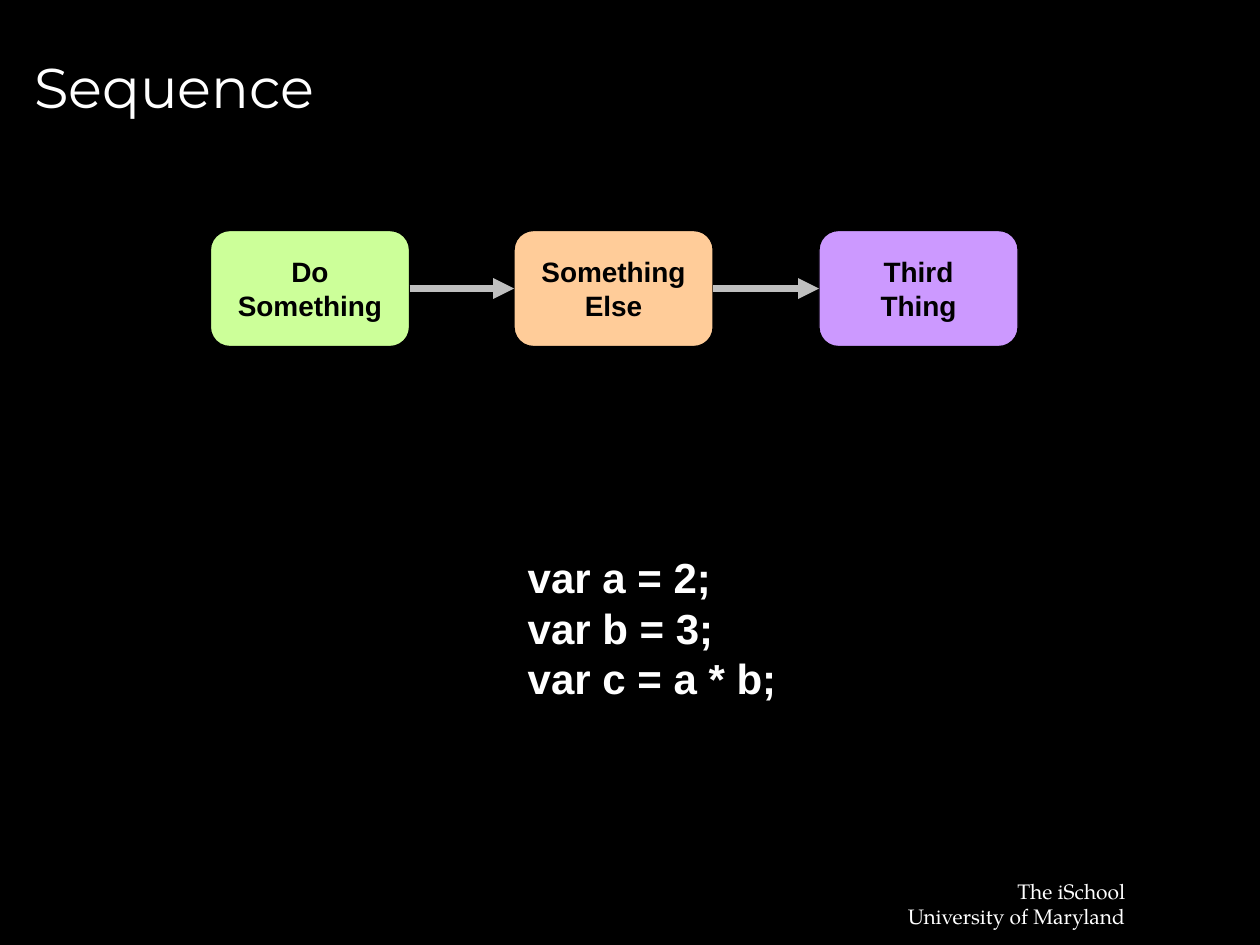
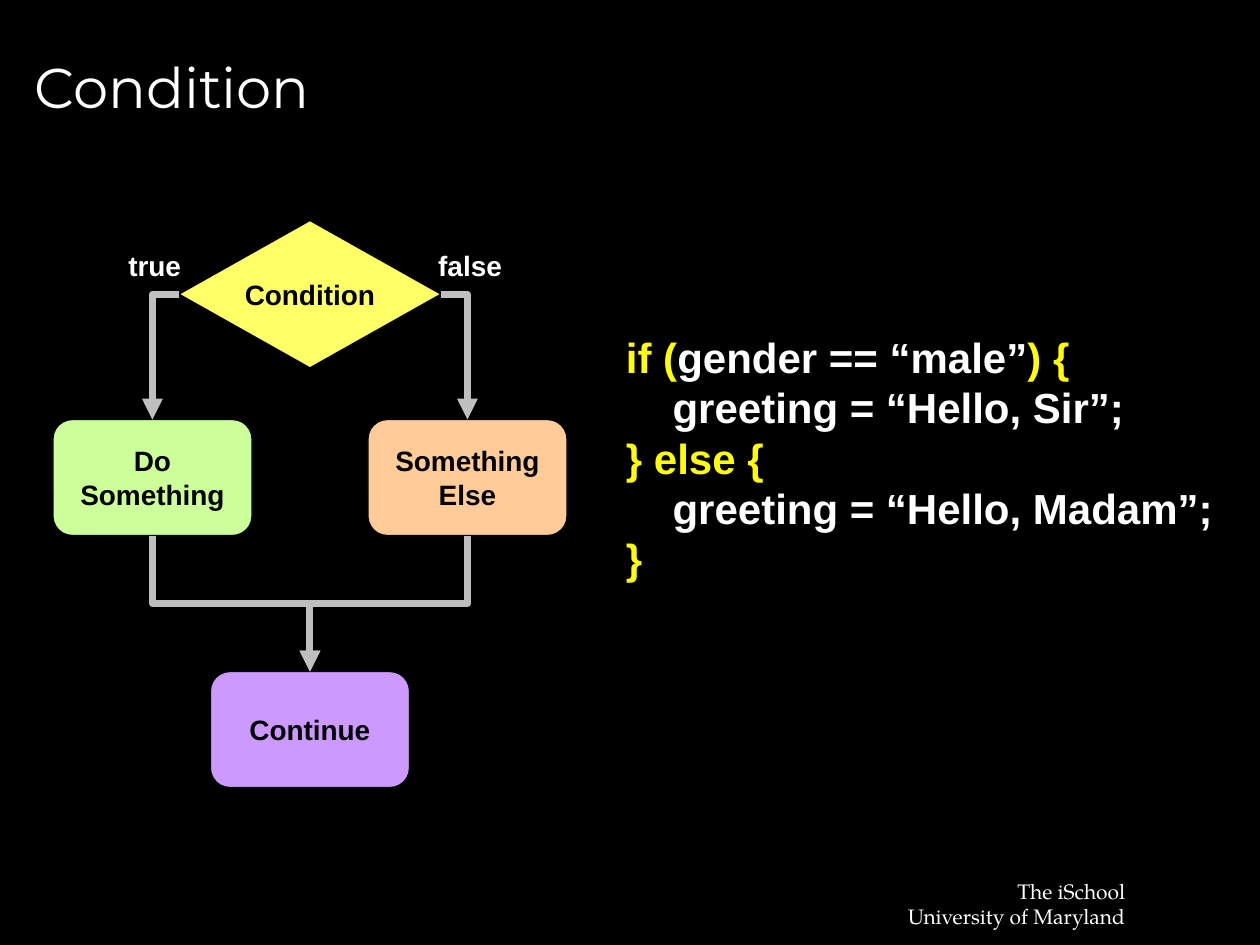
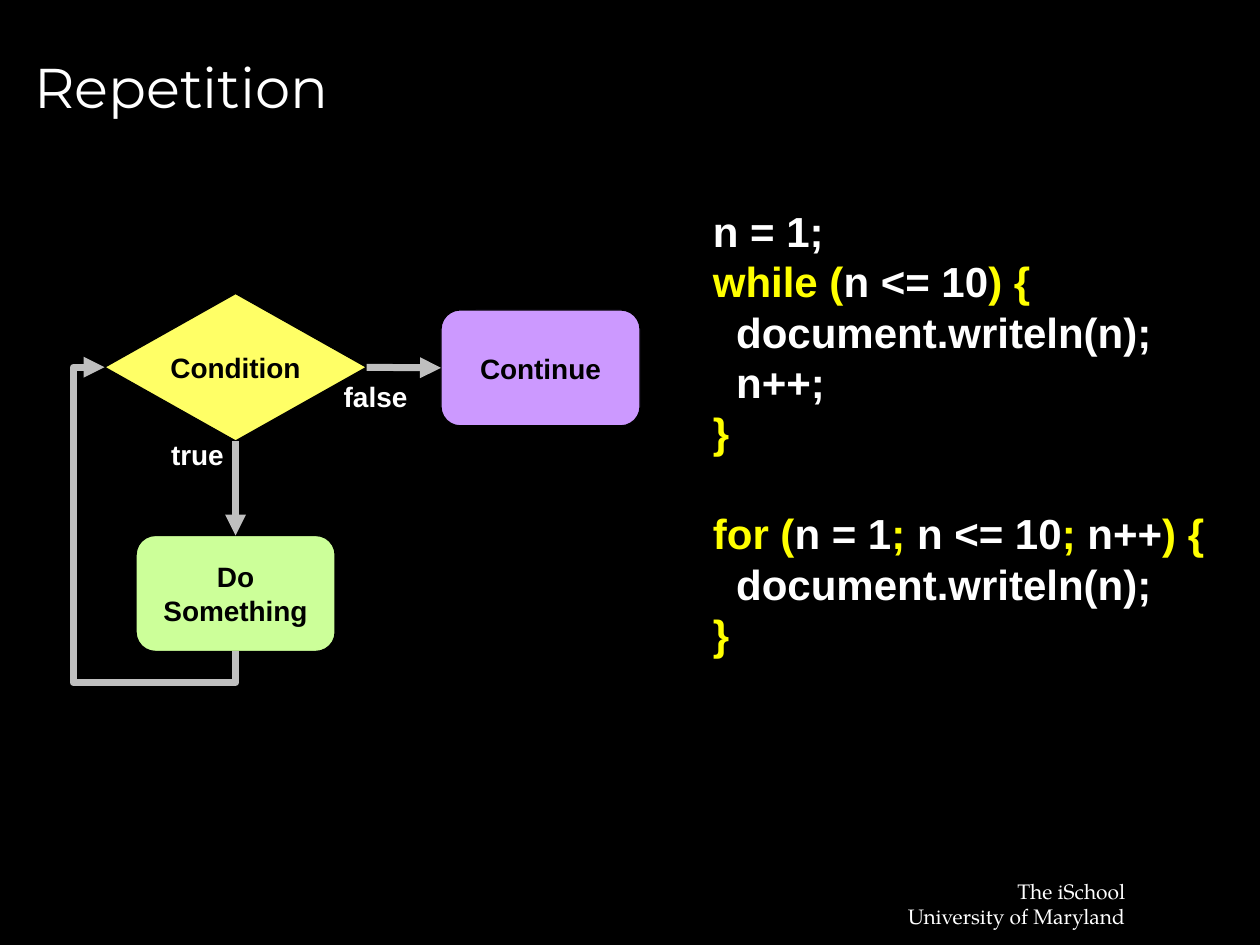
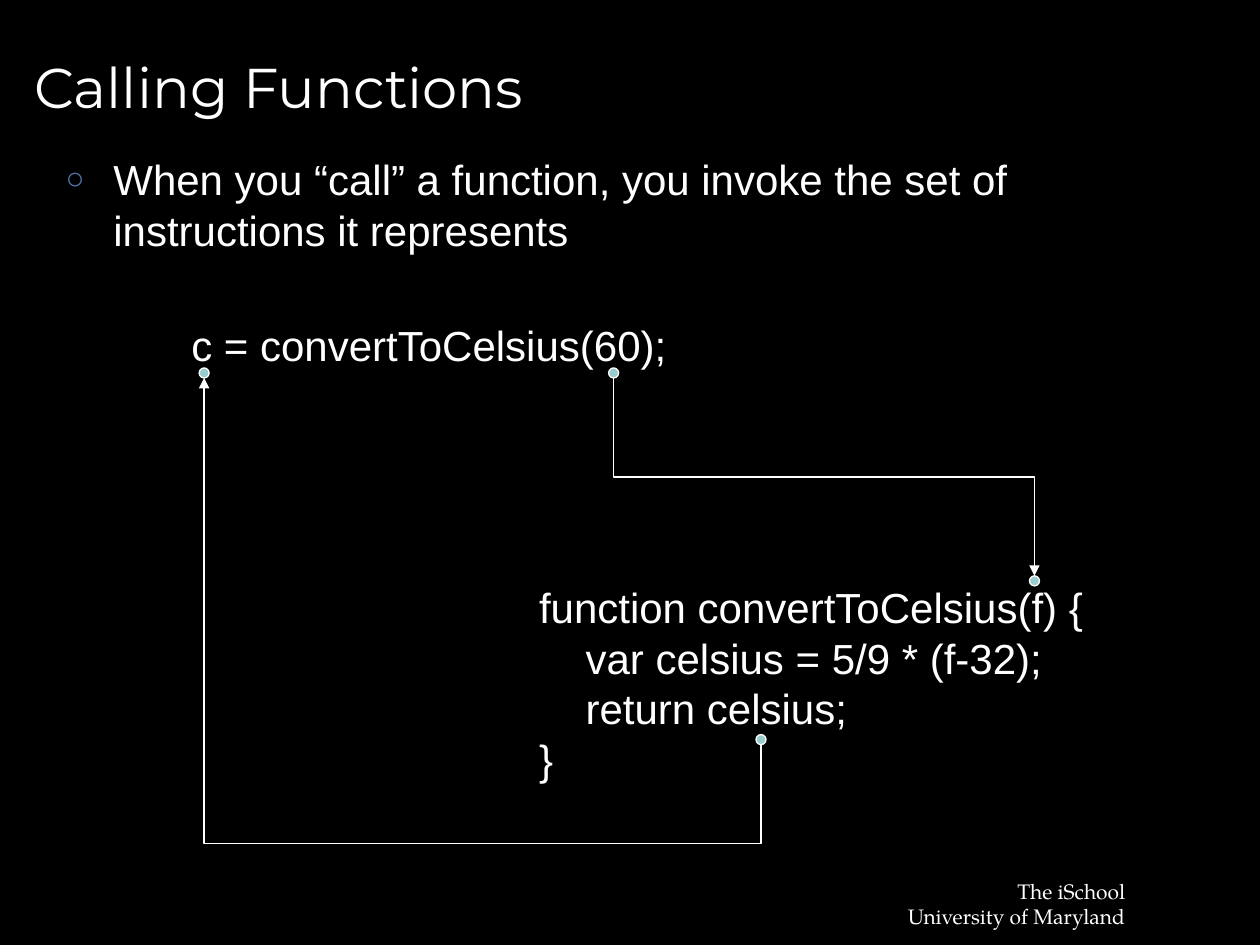
import dataclasses

import lxml.etree
import pptx
import pptx.dml.color
import pptx.enum.shapes
import pptx.enum.text
import pptx.oxml.ns
import pptx.util

Inches = pptx.util.Inches
Pt = pptx.util.Pt
qn = pptx.oxml.ns.qn
Shape = pptx.enum.shapes.MSO_SHAPE
Connector = pptx.enum.shapes.MSO_CONNECTOR
Align = pptx.enum.text.PP_ALIGN
Anchor = pptx.enum.text.MSO_ANCHOR
AutoSize = pptx.enum.text.MSO_AUTO_SIZE


@dataclasses.dataclass(frozen=True)
class Theme:
    background: str = "000000"
    text: str = "FFFFFF"
    keyword: str = "FFFF00"
    ink: str = "000000"
    arrow: str = "BFBFBF"
    bullet: str = "5675A9"
    green: str = "CCFF99"
    orange: str = "FFCC99"
    purple: str = "CC99FF"
    yellow: str = "FFFF66"
    dot: str = "99CCCC"
    title_font: str = "Montserrat"
    body_font: str = "Arial"
    footer_font: str = "TeX Gyre Pagella"
    title_size: int = 32
    body_size: int = 24
    label_size: int = 16
    footer_size: int = 12
    thin_line: float = 0.75
    thick_line: float = 4


theme = Theme()


def rgb(value):
    return pptx.dml.color.RGBColor.from_string(value)


def write(frame, lines, size=theme.body_size, font=theme.body_font,
          color=theme.text, bold=False, align=Align.LEFT):
    """Fill a text frame, one paragraph a line; text between bars is a keyword."""
    for number, line in enumerate(lines):
        para = frame.add_paragraph() if number else frame.paragraphs[0]
        para.alignment = align
        for position, piece in enumerate(line.split("|")):
            if piece:
                span = para.add_run()
                span.text = piece
                span.font.size = Pt(size)
                span.font.name = font
                span.font.bold = bold
                span.font.color.rgb = rgb(theme.keyword if position % 2 else color)


deck = pptx.Presentation()
deck.slide_width = Inches(10)
deck.slide_height = Inches(7.5)
master = deck.slide_master
master.background.fill.solid()
master.background.fill.fore_color.rgb = rgb(theme.background)
content_layout, title_layout = deck.slide_layouts[1], deck.slide_layouts[5]

# Pages and titles
pages = {}
for title, layout in [
    ("Sequence", title_layout),
    ("Condition", title_layout),
    ("Repetition", title_layout),
    ("Calling Functions", content_layout),
]:
    page = pages[title] = deck.slides.add_slide(layout)
    heading = page.shapes.title
    heading.left, heading.top = Inches(0.17), Inches(0.12)
    heading.width, heading.height = Inches(9.5), Inches(1.12)
    heading.text_frame.vertical_anchor = Anchor.MIDDLE
    heading.text_frame.auto_size = AutoSize.NONE
    write(heading.text_frame, [title], size=theme.title_size, font=theme.title_font)

# Footer, moved to the master so that every page shows it
footer = pages["Sequence"].shapes.add_textbox(
    Inches(7.09), Inches(6.92), Inches(1.94), Inches(0.5))
footer.text_frame.word_wrap = False
write(footer.text_frame, ["The iSchool", "University of Maryland"],
      size=theme.footer_size, font=theme.footer_font, align=Align.RIGHT)
footer.element.nvSpPr.cNvPr.set("id", "20")
master.element.cSld.spTree.append(footer.element)

# Bulleted statement
body = pages["Calling Functions"].placeholders[1]
body.left, body.top = Inches(0.42), Inches(1.17)
body.width, body.height = Inches(9.25), Inches(5.58)
body.text_frame.auto_size = AutoSize.NONE
properties = body.text_frame.paragraphs[0]._p.get_or_add_pPr()
properties.set("marL", str(Inches(0.38)))
properties.set("indent", str(-Inches(0.38)))
bullet_color = lxml.etree.SubElement(properties, qn("a:buClr"))
lxml.etree.SubElement(bullet_color, qn("a:srgbClr"), val=theme.bullet)
lxml.etree.SubElement(properties, qn("a:buSzPct"), val="75000")
lxml.etree.SubElement(properties, qn("a:buChar"), char="○")
body.text_frame.paragraphs[0].space_before = Pt(0)
body.text_frame.paragraphs[0].space_after = Pt(7.5)
write(body.text_frame, [
    "When you “call” a function, you invoke the set of instructions it represents"])

# Code and branch labels
code = {"size": theme.body_size, "bold": True}
label = {"size": theme.label_size, "bold": True}
text_boxes = {}
for title, name, left, top, width, height, style, lines in [
    ("Sequence", "code", 4.09, 4.33, 2.17, 1.3, code,
     ["var a = 2;", "var b = 3;", "var c = a * b;"]),
    ("Condition", "code", 4.87, 2.58, 4.86, 2.5, code,
     ["|if (|gender == “male”|) {|",
      "    greeting = “Hello, Sir”;",
      "|} else {|",
      "    greeting = “Hello, Madam”;",
      "|}|"]),
    ("Condition", "true", 0.92, 1.92, 0.64, 0.37, label, ["true"]),
    ("Condition", "false", 3.38, 1.92, 0.74, 0.37, label, ["false"]),
    ("Repetition", "code", 5.56, 1.58, 4.1, 4.1, code,
     ["n = 1;",
      "|while (|n <= 10|) {|",
      "  document.writeln(n);",
      "  n++;",
      "|}|",
      "|for (|n = 1|;| n <= 10|;| n++|) {|",
      "  document.writeln(n);",
      "|}|"]),
    ("Repetition", "true", 1.26, 3.42, 0.64, 0.37, label, ["true"]),
    ("Repetition", "false", 2.63, 2.96, 0.74, 0.37, label, ["false"]),
    ("Calling Functions", "call", 1.42, 2.49, 4, 0.5, {},
     ["c = convertToCelsius(60);"]),
    ("Calling Functions", "function", 4.18, 4.57, 4.55, 1.7, {},
     ["function convertToCelsius(f) {",
      "    var celsius = 5/9 * (f-32);",
      "    return celsius;",
      "}"]),
]:
    box = pages[title].shapes.add_textbox(
        Inches(left), Inches(top), Inches(width), Inches(height))
    box.text_frame.word_wrap = False
    box.text_frame.auto_size = AutoSize.SHAPE_TO_FIT_TEXT
    write(box.text_frame, lines, **style)
    text_boxes[title, name] = box
for_loop = text_boxes["Repetition", "code"].text_frame.paragraphs[5]
for_loop.space_before = Pt(29)

# Flowchart nodes and the dots that mark code
step = (Shape.ROUNDED_RECTANGLE, 1.58, 0.92, theme.ink)
decision = (Shape.FLOWCHART_DECISION, 2.08, 1.17, theme.ink)
dot = (Shape.OVAL, 0.08, 0.08, theme.text)
kinds = {
    "do": (*step, theme.green, ["Do", "Something"]),
    "else": (*step, theme.orange, ["Something Else"]),
    "third": (*step, theme.purple, ["Third", "Thing"]),
    "continue": (*step, theme.purple, ["Continue"]),
    "condition": (*decision, theme.yellow, ["Condition"]),
    **dict.fromkeys(("variable", "argument", "parameter", "result"),
                    (*dot, theme.dot, [])),
}
nodes = {}
for title, name, left, top in [
    ("Sequence", "do", 1.67, 1.83),
    ("Sequence", "else", 4.08, 1.83),
    ("Sequence", "third", 6.5, 1.83),
    ("Condition", "condition", 1.42, 1.75),
    ("Condition", "do", 0.42, 3.33),
    ("Condition", "else", 2.92, 3.33),
    ("Condition", "continue", 1.67, 5.33),
    ("Repetition", "condition", 0.83, 2.33),
    ("Repetition", "do", 1.08, 4.25),
    ("Repetition", "continue", 3.5, 2.46),
    ("Calling Functions", "variable", 1.58, 2.92),
    ("Calling Functions", "argument", 4.83, 2.92),
    ("Calling Functions", "parameter", 8.17, 4.57),
    ("Calling Functions", "result", 6, 5.83),
]:
    preset, width, height, border, fill, lines = kinds[name]
    node = pages[title].shapes.add_shape(
        preset, Inches(left), Inches(top), Inches(width), Inches(height))
    node.shadow.inherit = False
    node.fill.solid()
    node.fill.fore_color.rgb = rgb(fill)
    node.line.color.rgb = rgb(border)
    node.line.width = Pt(theme.thin_line)
    frame = node.text_frame
    frame.word_wrap = True
    frame.vertical_anchor = Anchor.MIDDLE
    if preset == Shape.FLOWCHART_DECISION:
        frame.margin_left = frame.margin_right = 0
        frame.margin_top = frame.margin_bottom = 0
    write(frame, lines, color=theme.ink, align=Align.CENTER, **label)
    nodes[title, name] = node

# Arrows; a route is a bent preset with its bends as shares of the way
TOP, LEFT, BOTTOM, RIGHT = range(4)
corner = ("bentConnector2", [])
middle = ("bentConnector3", [0.5])
for title, start, start_side, finish, finish_side, route in [
    ("Sequence", "do", RIGHT, "else", LEFT, None),
    ("Sequence", "else", RIGHT, "third", LEFT, None),
    ("Condition", "condition", RIGHT, "else", TOP, corner),
    ("Condition", "condition", LEFT, "do", TOP, corner),
    ("Condition", "do", BOTTOM, "continue", TOP, middle),
    ("Condition", "else", BOTTOM, "continue", TOP, middle),
    ("Repetition", "condition", RIGHT, "continue", LEFT, None),
    ("Repetition", "condition", BOTTOM, "do", TOP, None),
    ("Repetition", "do", BOTTOM, "condition", LEFT, ("bentConnector4", [-0.11, 1.24])),
    ("Calling Functions", "argument", BOTTOM, "parameter", TOP, middle),
    ("Calling Functions", "result", BOTTOM, "variable", BOTTOM, ("bentConnector3", [-0.27])),
]:
    between_dots = title == "Calling Functions"
    arrow = pages[title].shapes.add_connector(
        Connector.ELBOW if route else Connector.STRAIGHT, 0, 0, 0, 0)
    arrow.begin_connect(nodes[title, start], start_side)
    arrow.end_connect(nodes[title, finish], finish_side)
    if between_dots:  # an ellipse has eight connection sites, two to each side
        for site in arrow.element.iter(qn("a:stCxn"), qn("a:endCxn")):
            site.set("idx", str(int(site.get("idx")) * 2))
    if route:
        preset, bends = route
        geometry = arrow.element.spPr.prstGeom
        geometry.set("prst", preset)
        geometry.rewrite_guides(
            [(f"adj{number}", round(bend * 100000))
             for number, bend in enumerate(bends, 1)])
        if start_side in (TOP, BOTTOM):  # leaves vertically: a turned elbow
            across, down = arrow.end_x - arrow.begin_x, arrow.end_y - arrow.begin_y
            center_x = arrow.begin_x + across // 2
            center_y = arrow.begin_y + down // 2
            turn = 1 if across < 0 < down else -1
            half_width, half_height = turn * down // 2, -turn * across // 2
            arrow.begin_x, arrow.end_x = center_x - half_width, center_x + half_width
            arrow.begin_y, arrow.end_y = center_y - half_height, center_y + half_height
            arrow.rotation = 90 if turn == 1 else 270
    arrow.line.color.rgb = rgb(theme.text if between_dots else theme.arrow)
    arrow.line.width = Pt(theme.thin_line if between_dots else theme.thick_line)
    lxml.etree.SubElement(
        arrow.element.spPr.find(qn("a:ln")), qn("a:tailEnd"), type="triangle")
    lxml.etree.SubElement(arrow.element.spPr, qn("a:effectLst"))

deck.save("out.pptx")
